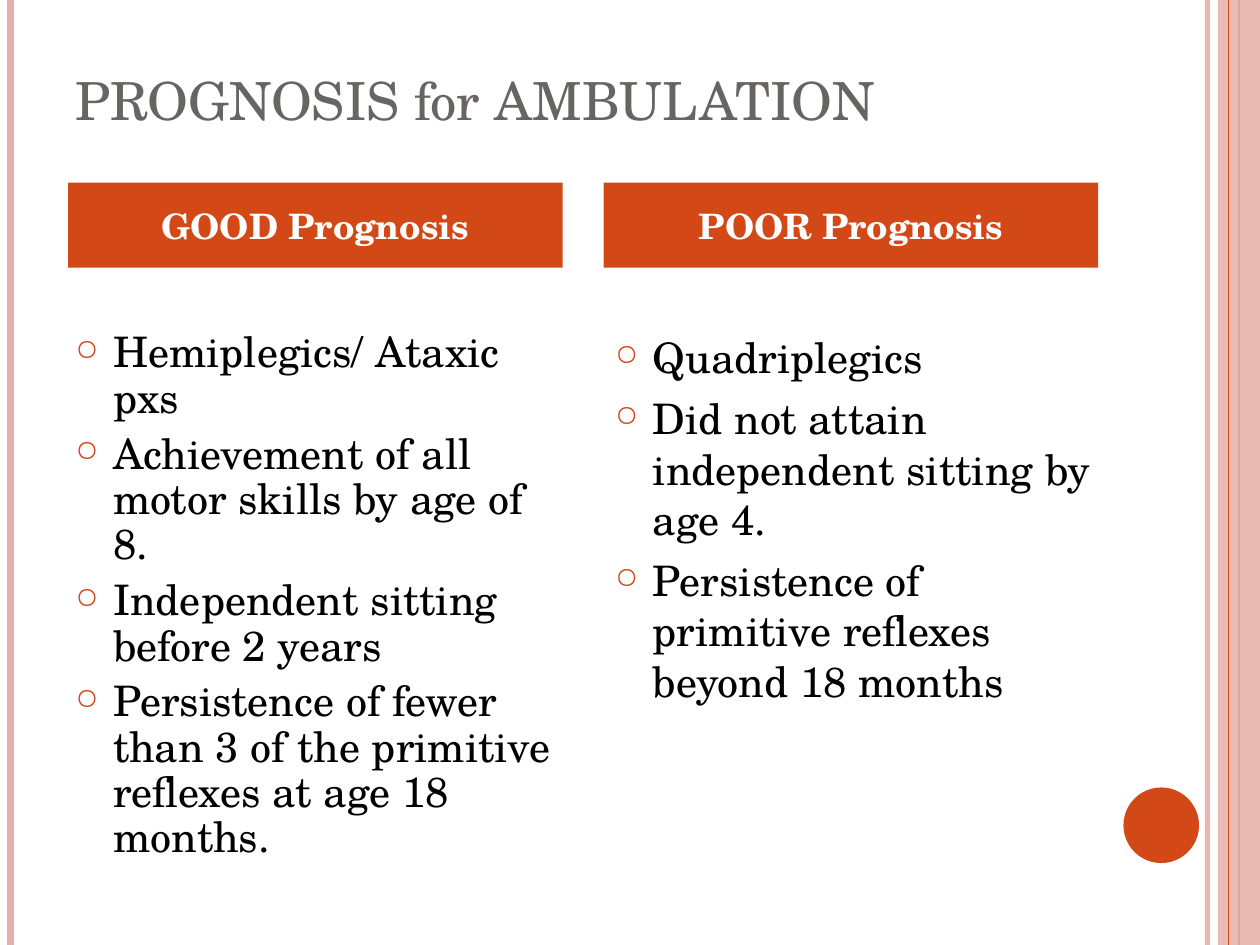
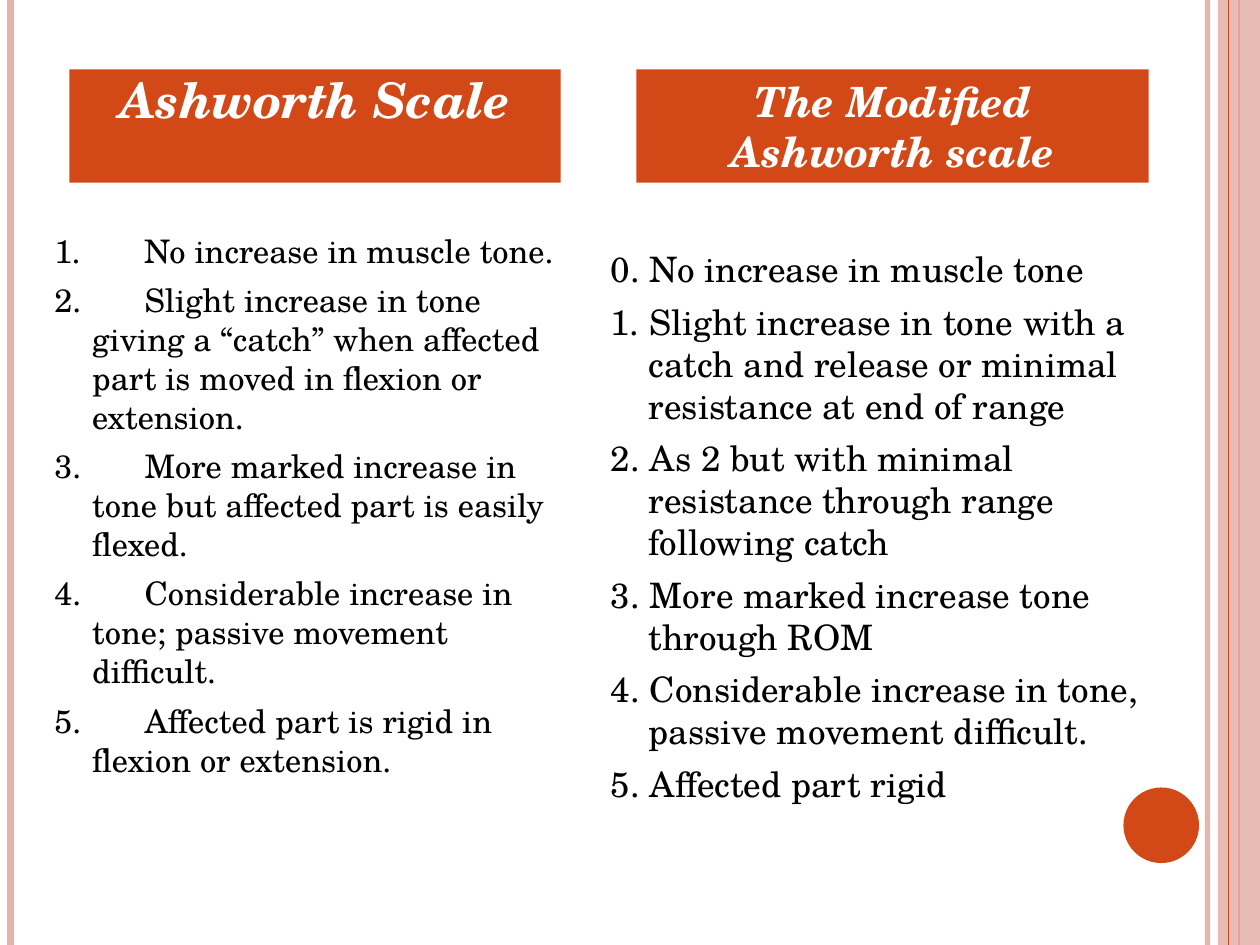
from lxml.etree import SubElement as Sub
from pptx import Presentation
from pptx.dml.color import RGBColor as Rgb
from pptx.enum.shapes import MSO_CONNECTOR as Link, MSO_SHAPE as Form
from pptx.enum.text import MSO_ANCHOR as Anchor, PP_ALIGN as Align
from pptx.oxml.ns import qn
from pptx.util import Inches, Pt

COLS, ROWS = 120, 90
UNIT = Inches(10) / COLS
FONT = "TeX Gyre Schola"
HUES = {"accent": "D34817", "pink": "E6B1AB", "title": "696464",
        "text": "000000", "white": "FFFFFF"}


def span(*cells):
    return [round(cell * UNIT) for cell in cells]


def hue(name):
    return Rgb.from_string(HUES[name])


def fade(fill, share):
    """Make a solid fill element opaque to the given percentage."""
    Sub(fill[0], qn("a:alpha"), val=str(share * 1000))


class Deck:
    def __init__(self):
        self.prs = Presentation()
        self.prs.slide_width, self.prs.slide_height = span(COLS, ROWS)
        self.slide = None

    def page(self):
        """Start a slide with the side bands and the corner disc."""
        self.slide = self.prs.slides.add_slide(self.prs.slide_layouts[6])
        self.line(115, "pink", 3, 93)
        self.line(1, "pink", 4.5)
        self.line(118, "accent", 1.5)
        band = self.shape(Form.RECTANGLE, (116, 0, 4, ROWS), "pink")
        fade(band.element.spPr.find(qn("a:solidFill")), 87)
        self.line(117, "accent", 0.75)
        self.shape(Form.OVAL, (107, 75, 7.2, 7.2), "accent")

    def line(self, col, tint, width, share=100):
        """Draw an upright line over the full height."""
        link = self.slide.shapes.add_connector(
            Link.STRAIGHT, *span(col, 0, col, ROWS))
        link.line.color.rgb = hue(tint)
        link.line.width = Pt(width)
        prop = link.element.spPr
        if share < 100:
            fade(prop.find(qn("a:ln")).find(qn("a:solidFill")), share)
        Sub(prop, qn("a:effectLst"))

    def shape(self, form, box, tint):
        item = self.slide.shapes.add_shape(form, *span(*box))
        item.shadow.inherit = False
        item.fill.solid()
        item.fill.fore_color.rgb = hue(tint)
        item.line.fill.background()
        return item

    def run(self, para, text, size, tint="text", bold=False, slant=False):
        run = para.add_run()
        run.text = text
        font = run.font
        font.name, font.size = FONT, Pt(size)
        font.bold, font.italic = bold, slant
        font.color.rgb = hue(tint)
        return run

    def frame(self, box, anchor=Anchor.TOP):
        frame = self.slide.shapes.add_textbox(*span(*box)).text_frame
        frame.word_wrap = True
        frame.vertical_anchor = anchor
        return frame

    def title(self, text):
        frame = self.frame((6, 3.6, 99, 9.5), Anchor.BOTTOM)
        self.run(frame.paragraphs[0], text, 30, "title")

    def head(self, box, text, size, slant=False, top=False):
        frame = self.shape(Form.RECTANGLE, box, "accent").text_frame
        frame.word_wrap = True
        frame.vertical_anchor = Anchor.TOP if top else Anchor.MIDDLE
        if top:
            frame.margin_top = 0
        para = frame.paragraphs[0]
        para.alignment = Align.CENTER
        self.run(para, text, size, "white", True, slant)

    def items(self, box, size, rows, lead=1.0, dots=False, gap=None):
        """List rows with a hanging indent; gap widens the space after a number."""
        frame = self.frame(box)
        for num, row in enumerate(rows):
            para = frame.paragraphs[0] if num == 0 else frame.add_paragraph()
            prop = para._p.get_or_add_pPr()
            prop.set("marL", str(Inches(0.3)))
            prop.set("indent", str(-Inches(0.3)))
            if dots:
                self.dot(prop)
            para.line_spacing = lead
            para.space_before = Pt(6 if num else 0)
            if gap:
                mark, row = row.split(" ", 1)
                self.run(para, mark, size)
                blank = self.run(para, " ", size)
                blank.font._element.set("spc", str(gap * 100))
            self.run(para, row, size)

    def dot(self, prop):
        tint = Sub(prop, qn("a:buClr"))
        Sub(tint, qn("a:srgbClr"), val=HUES["accent"])
        Sub(prop, qn("a:buSzPct"), val="70000")
        Sub(prop, qn("a:buChar"), char="○")


def outlook(deck):
    deck.page()
    deck.title("PROGNOSIS for AMBULATION")
    deck.items((6, 31, 48, 55), 24, [
        "Hemiplegics/ Ataxic pxs",
        "Achievement of all motor skills by age of 8.",
        "Independent sitting before 2 years",
        "Persistence of fewer than 3 of the primitive reflexes at age 18 months.",
    ], lead=0.9, dots=True)
    deck.items((57.4, 31, 48, 54), 24, [
        "Quadriplegics",
        "Did not attain independent sitting by age 4.",
        "Persistence of primitive reflexes beyond 18 months",
    ], dots=True)
    for col, kind in enumerate(("GOOD", "POOR")):
        deck.head((6.5 + 51 * col, 17.4, 47.1, 8.1), f"{kind} Prognosis", 20)


def scales(deck):
    deck.page()
    deck.items((4, 21.4, 50, 60), 18.5, [
        "1. No increase in muscle tone.",
        "2. Slight increase in tone giving a “catch” when affected part is "
        "moved in flexion or extension.",
        "3. More marked increase in tone but affected part is easily flexed.",
        "4. Considerable increase in tone; passive movement difficult.",
        "5. Affected part is rigid in flexion or extension.",
    ], gap=31)
    deck.items((57, 23, 56, 62), 20, [
        "0. No increase in muscle tone",
        "1. Slight increase in tone with a catch and release or minimal "
        "resistance at end of range",
        "2. As 2 but with minimal resistance through range following catch",
        "3. More marked increase tone through ROM",
        "4. Considerable increase in tone, passive movement difficult.",
        "5. Affected part rigid",
    ])
    deck.head((6.6, 6.6, 46.8, 10.8), "Ashworth Scale", 28, True, top=True)
    deck.head((60.6, 6.6, 48.8, 10.8), "The Modified Ashworth scale", 23.8, True)


def main():
    deck = Deck()
    outlook(deck)
    scales(deck)
    deck.prs.save("out.pptx")


if __name__ == "__main__":
    main()
